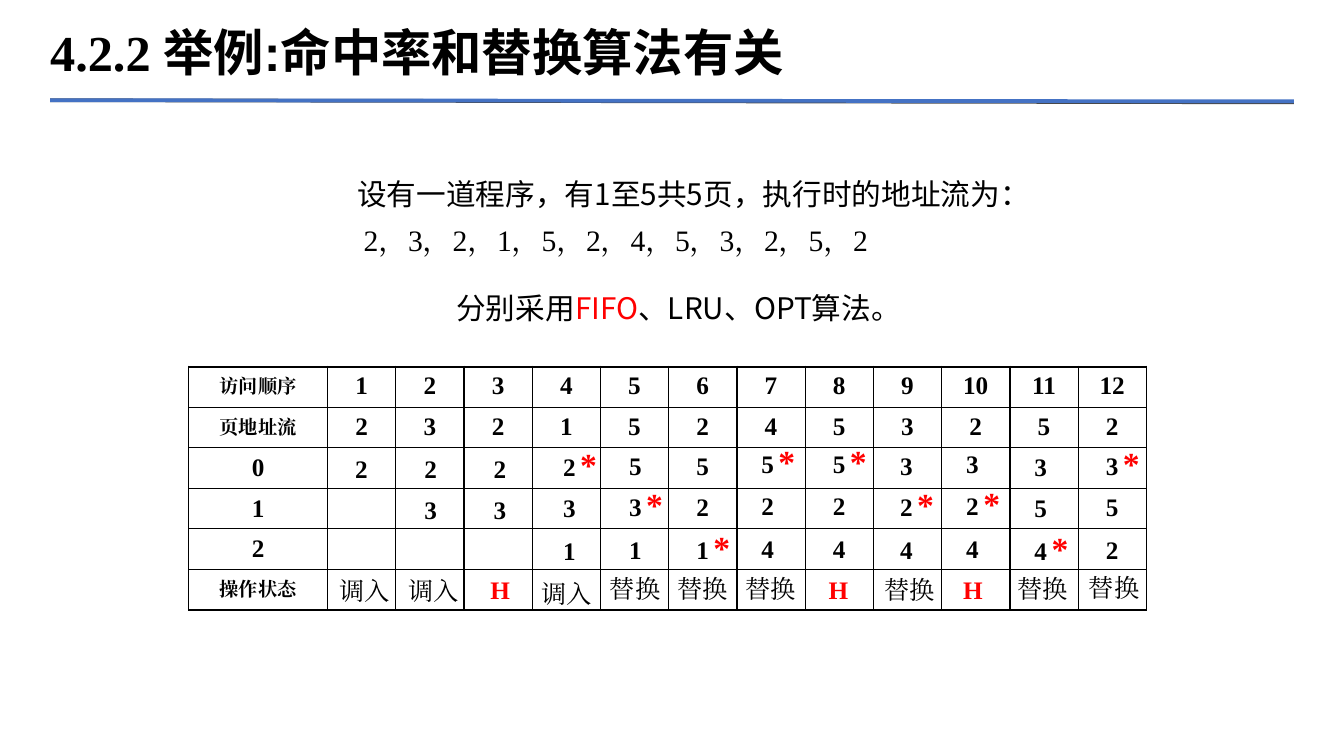
from dataclasses import dataclass
from typing import Optional

from lxml.etree import SubElement
from pptx import Presentation
from pptx.dml.color import RGBColor
from pptx.enum.shapes import MSO_CONNECTOR
from pptx.enum.text import MSO_ANCHOR, MSO_AUTO_SIZE, PP_ALIGN
from pptx.oxml.ns import qn
from pptx.util import Inches, Pt

BLACK = RGBColor(0x00, 0x00, 0x00)
WHITE = RGBColor(0xFF, 0xFF, 0xFF)
RED = RGBColor(0xFF, 0x00, 0x00)
BLUE = RGBColor(0x44, 0x72, 0xC4)
GRAY = RGBColor(0x48, 0x48, 0x49)
SERIF, SANS, CJK = "Times New Roman", "Arial", "Noto Sans CJK SC"

FRAME_OFFSETS = (0, 0.39, 0.79)
STAR_DX, STAR_DY = 0.16, -0.07


@dataclass
class Step:
    """Page frames after one access; star is the frame replaced next."""
    page: str
    left: float
    top: float
    frames: str
    star: Optional[int]
    action: str
    action_left: float
    action_top: float


STEPS = [
    Step("2", 3.23, 4.20, "2", None, "调入", 3.08, 5.35),
    Step("3", 3.88, 4.20, "23", None, "调入", 3.73, 5.35),
    Step("2", 4.53, 4.20, "23", None, "H", 4.50, 5.34),
    Step("1", 5.18, 4.18, "231", 0, "调入", 4.98, 5.37),
    Step("5", 5.80, 4.17, "531", 1, "替换", 5.62, 5.33),
    Step("2", 6.43, 4.17, "521", 2, "替换", 6.25, 5.33),
    Step("4", 7.04, 4.16, "524", 0, "替换", 6.89, 5.33),
    Step("5", 7.71, 4.16, "524", 0, "H", 7.67, 5.34),
    Step("3", 8.34, 4.17, "324", 1, "替换", 8.19, 5.34),
    Step("2", 8.96, 4.16, "324", 1, "H", 8.93, 5.34),
    Step("5", 9.60, 4.18, "354", 2, "替换", 9.44, 5.33),
    Step("2", 10.27, 4.17, "352", 0, "替换", 10.11, 5.32),
]


def add_run(p, text: str, size: float, font: str = SERIF,
            color: RGBColor = BLACK, bold: bool = False) -> None:
    r = p.add_run()
    r.text = text
    r.font.size = Pt(size)
    r.font.name = font
    r.font.bold = bold
    r.font.color.rgb = color
    SubElement(r.font._element, qn("a:ea"), typeface=font)


def add_rule(slide, end_y: float, color: RGBColor) -> None:
    line = slide.shapes.add_connector(MSO_CONNECTOR.STRAIGHT, Inches(0.47), Inches(0.94),
                                      Inches(12.13), Inches(end_y))
    line.line.color.rgb = color
    line.line.width = Pt(2.5)
    SubElement(line._element.spPr, qn("a:effectLst"))


def add_label(slide, text: str, left: float, top: float, width: float, height: float = 0.39,
              size: float = 17, color: RGBColor = BLACK, bold: bool = True) -> None:
    box = slide.shapes.add_textbox(Inches(left), Inches(top), Inches(width), Inches(height))
    tf = box.text_frame
    tf.word_wrap = False
    tf.auto_size = MSO_AUTO_SIZE.SHAPE_TO_FIT_TEXT
    add_run(tf.paragraphs[0], text, size, color=color, bold=bold)


def set_borders(cell, top: float, bottom: float) -> None:
    tc_pr = cell._tc.get_or_add_tcPr()
    for side, width in (("L", 1), ("R", 1), ("T", top), ("B", bottom)):
        ln = SubElement(tc_pr, qn(f"a:ln{side}"), w=str(Pt(width)))
        fill = SubElement(ln, qn("a:solidFill"))
        SubElement(fill, qn("a:srgbClr"), val=str(BLACK))


def add_page_table(slide) -> None:
    blank = [""] * len(STEPS)
    rows = [
        ["访问顺序"] + [str(n) for n in range(1, len(STEPS) + 1)],
        ["页地址流"] + [step.page for step in STEPS],
        *[[str(n)] + blank for n in range(3)],
        ["操作状态"] + blank,
    ]
    last = len(rows) - 1
    table = slide.shapes.add_table(len(rows), len(rows[0]), Inches(1.77), Inches(3.44),
                                   Inches(8.96), Inches(2.27)).table
    table.first_row = table.horz_banding = False
    for i, column in enumerate(table.columns):
        column.width = Inches(0.64 if i else 1.3)
    for i, texts in enumerate(rows):
        table.rows[i].height = Inches(0.38)
        for j, text in enumerate(texts):
            cell = table.cell(i, j)
            set_borders(cell, 2 if i == 0 else 1, 2 if i == last else 1)
            if i < 2:
                cell.fill.solid()
                cell.fill.fore_color.rgb = WHITE
            else:
                cell.fill.background()
            if not text:
                cell.margin_top = cell.margin_bottom = 0
                continue
            cell.vertical_anchor = MSO_ANCHOR.TOP if j else MSO_ANCHOR.MIDDLE
            p = cell.text_frame.paragraphs[0]
            p.alignment = PP_ALIGN.CENTER
            add_run(p, text, 17 if text.isdigit() else 13, bold=True)


def add_step(slide, step: Step) -> None:
    for page, offset in zip(step.frames, FRAME_OFFSETS):
        add_label(slide, page, step.left, step.top + offset, 0.32)
    if step.star is not None:
        add_label(slide, "*", step.left + STAR_DX,
                  step.top + FRAME_OFFSETS[step.star] + STAR_DY,
                  0.36, 0.48, 22.7, RED)
    hit = step.action == "H"
    add_label(slide, step.action, step.action_left, step.action_top,
              0.39 if hit else 0.68, color=RED if hit else BLACK, bold=hit)


def add_intro(slide) -> None:
    box = slide.shapes.add_textbox(Inches(3.25), Inches(1.5), Inches(9.56), Inches(1.95))
    tf = box.text_frame
    tf.word_wrap = True
    task, stream, methods = tf.paragraphs[0], tf.add_paragraph(), tf.add_paragraph()
    task.line_spacing = stream.line_spacing = 1.3
    methods.space_before = Pt(22)
    for p, indent in ((stream, 0.06), (methods, 0.93)):
        p._p.get_or_add_pPr().set("marL", str(Inches(indent)))
    add_run(task, "设有一道程序，有1至5共5页，执行时的地址流为：", 20, CJK)
    add_run(stream, "，".join(step.page for step in STEPS), 20)
    add_run(methods, "分别采用", 20, CJK)
    add_run(methods, "FIFO", 20, CJK, RED)
    add_run(methods, "、LRU、OPT算法。", 20, CJK)


def add_title(slide) -> None:
    title = slide.shapes.title
    title.left, title.top = Inches(0.47), Inches(0.09)
    title.width, title.height = Inches(11.65), Inches(0.79)
    tf = title.text_frame
    tf.margin_left = tf.margin_right = tf.margin_top = tf.margin_bottom = 0
    tf.vertical_anchor = MSO_ANCHOR.MIDDLE
    tf.auto_size = MSO_AUTO_SIZE.NONE
    p = tf.paragraphs[0]
    p.alignment = PP_ALIGN.LEFT
    add_run(p, "4.2.2 ", 34, bold=True)
    add_run(p, "举例:命中率和替换算法有关", 34, SANS, bold=True)


def main() -> None:
    prs = Presentation()
    prs.slide_width, prs.slide_height = Inches(12.6), Inches(7.09)
    slide = prs.slides.add_slide(prs.slide_layouts[5])

    # Heading and its rule
    add_title(slide)
    add_rule(slide, 0.96, GRAY)
    add_rule(slide, 0.95, BLUE)

    # Table with the page frames laid over it
    add_page_table(slide)
    for step in STEPS:
        add_step(slide, step)

    # Problem statement
    add_intro(slide)
    prs.save("out.pptx")


if __name__ == "__main__":
    main()
